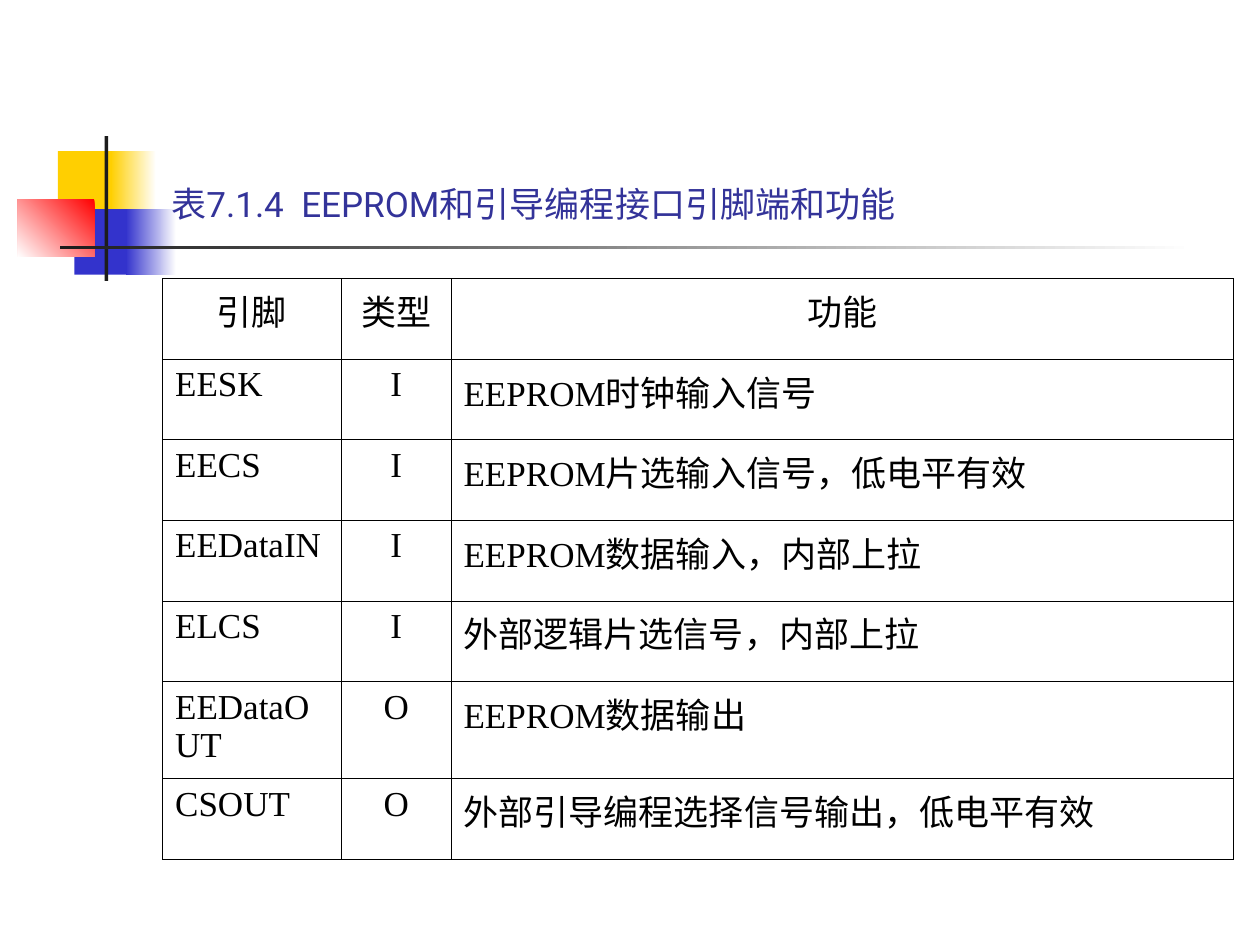
from lxml import etree
from pptx import Presentation
from pptx.dml.color import RGBColor
from pptx.enum.shapes import MSO_SHAPE
from pptx.enum.text import MSO_ANCHOR, MSO_AUTO_SIZE, PP_ALIGN
from pptx.oxml.ns import qn
from pptx.util import Inches, Pt

COLORS = {
    "white": "FFFFFF", "black": "000000", "yellow": "FFCF01",
    "blue": "3333CC", "red": "FF0000", "charcoal": "1C1C1C",
    "title": "333399",
}
TITLE = "表7.1.4  EEPROM和引导编程接口引脚端和功能"
HEADER = ("引脚", "类型", "功能")
PINS = [
    ("EESK", "I", "EEPROM时钟输入信号"),
    ("EECS", "I", "EEPROM片选输入信号，低电平有效"),
    ("EEDataIN", "I", "EEPROM数据输入，内部上拉"),
    ("ELCS", "I", "外部逻辑片选信号，内部上拉"),
    ("EEDataOUT", "O", "EEPROM数据输出"),
    ("CSOUT", "O", "外部引导编程选择信号输出，低电平有效"),
]
COLUMN_WIDTHS = (1.42, 0.87, 6.21)
ROW_HEIGHTS = (0.64, 0.64, 0.64, 0.64, 0.64, 0.77, 0.64)


def color(name):
    return RGBColor.from_string(COLORS[name])


class SlideBuilder:
    title_font = "Roboto"
    table_font = "Times New Roman"
    text_size = Pt(20)
    border_width = Pt(0.45)

    def __init__(self, slide):
        self.slide = slide

    def format_text(self, text_frame, font_name, color_name, alignment):
        for paragraph in text_frame.paragraphs:
            paragraph.alignment = alignment
            for run in paragraph.runs:
                run.font.name = font_name
                run.font.size = self.text_size
                run.font.color.rgb = color(color_name)

    def block(self, left, top, width, height, *fill_names, angle=180):
        """Add a rectangle: one colour is solid, two make a gradient with a clockwise angle."""
        shape = self.slide.shapes.add_shape(
            MSO_SHAPE.RECTANGLE, Inches(left), Inches(top), Inches(width), Inches(height))
        shape.shadow.inherit = False
        shape.line.fill.background()
        if len(fill_names) == 1:
            shape.fill.solid()
            shape.fill.fore_color.rgb = color(fill_names[0])
            return
        shape.fill.gradient()
        shape.fill.gradient_angle = 360 - angle
        for stop, position, name in zip(shape.fill.gradient_stops, (0, 1), fill_names):
            stop.position = position
            stop.color.rgb = color(name)

    def title(self, text, left, top, width, height):
        """Fill the title placeholder and bring it in front of the blocks."""
        title = self.slide.shapes.title
        title.left, title.top = Inches(left), Inches(top)
        title.width, title.height = Inches(width), Inches(height)
        text_frame = title.text_frame
        text_frame.text = text
        text_frame.word_wrap = True
        text_frame.auto_size = MSO_AUTO_SIZE.NONE
        text_frame.vertical_anchor = MSO_ANCHOR.BOTTOM
        self.format_text(text_frame, self.title_font, "title", PP_ALIGN.LEFT)
        title.element.getparent().append(title.element)

    def add_borders(self, cell):
        properties = cell._tc.get_or_add_tcPr()
        for position, side in enumerate(("a:lnL", "a:lnR", "a:lnT", "a:lnB")):
            line = etree.Element(qn(side), w=str(self.border_width))
            fill = etree.SubElement(line, qn("a:solidFill"))
            etree.SubElement(fill, qn("a:srgbClr"), val=COLORS["black"])
            properties.insert(position, line)

    def table(self, rows, left, top, column_widths, row_heights):
        table = self.slide.shapes.add_table(
            len(rows), len(column_widths), Inches(left), Inches(top),
            Inches(sum(column_widths)), Inches(sum(row_heights))).table
        for column, width in zip(table.columns, column_widths):
            column.width = Inches(width)
        for row, height in zip(table.rows, row_heights):
            row.height = Inches(height)
        for row_index, values in enumerate(rows):
            for column_index, value in enumerate(values):
                cell = table.cell(row_index, column_index)
                cell.text_frame.text = value
                cell.fill.background()
                centered = row_index == 0 or column_index == 1
                self.format_text(cell.text_frame, self.table_font, "black",
                                 PP_ALIGN.CENTER if centered else PP_ALIGN.LEFT)
                self.add_borders(cell)


def main():
    presentation = Presentation()
    presentation.slide_width, presentation.slide_height = Inches(10), Inches(7.5)
    title_only = presentation.slide_layouts[5]
    builder = SlideBuilder(presentation.slides.add_slide(title_only))

    builder.block(0.46, 1.2, 0.48, 0.52, "yellow")
    builder.block(0.88, 1.2, 0.36, 0.52, "white", "yellow")
    builder.block(0.59, 1.66, 0.46, 0.52, "blue")
    builder.block(1, 1.66, 0.4, 0.52, "white", "blue")
    builder.block(0.14, 1.58, 0.61, 0.46, "red", "white", angle=135)
    builder.block(0.83, 1.08, 0.03, 1.15, "charcoal")
    builder.block(0.48, 1.95, 9, 0.03, "white", "charcoal")

    builder.title(TITLE, 1.26, 0.23, 8.52, 1.6)
    builder.table([HEADER, *PINS], 1.29, 2.21, COLUMN_WIDTHS, ROW_HEIGHTS)
    presentation.save("out.pptx")


if __name__ == "__main__":
    main()
